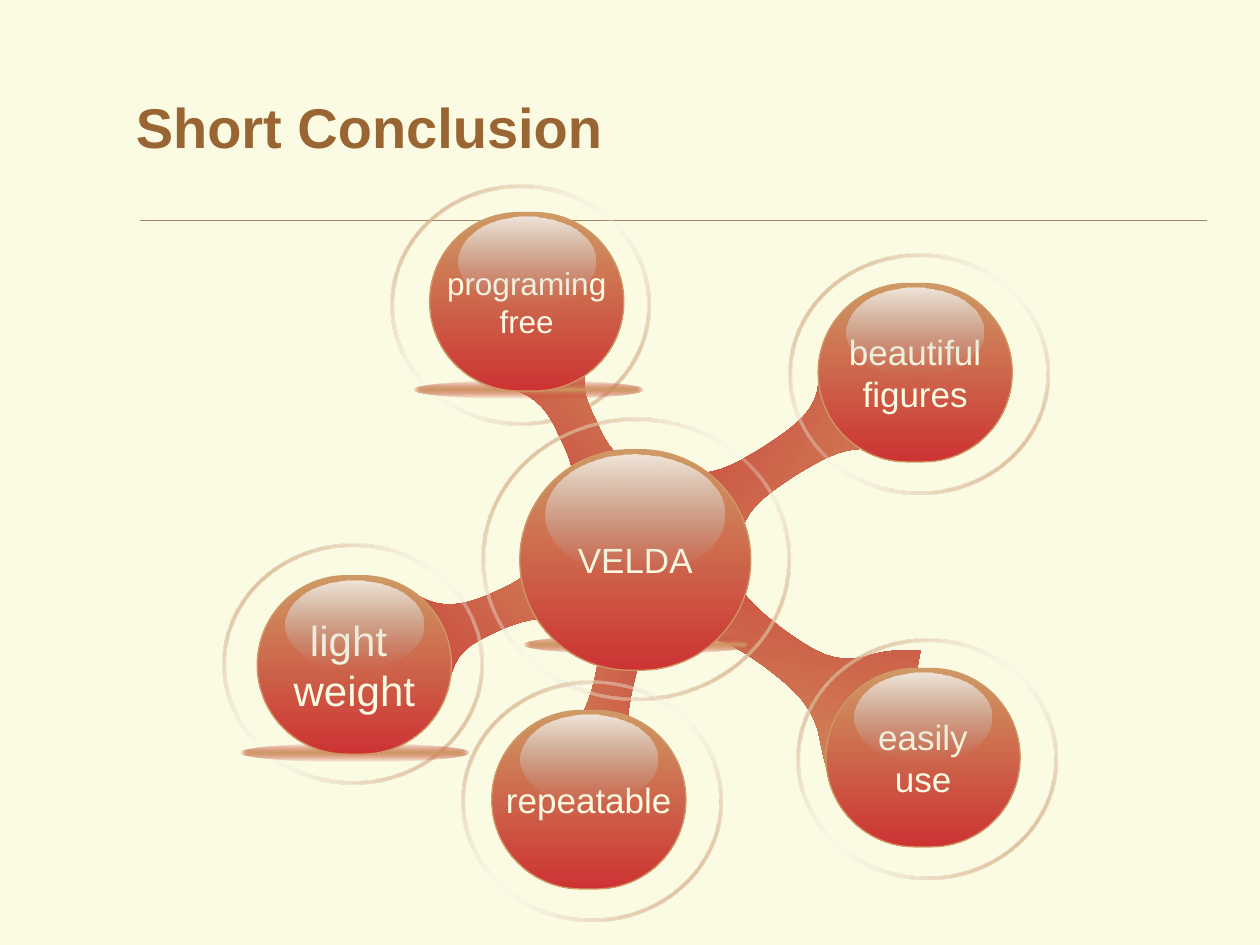
import pptx
import pptx.dml.color
import pptx.enum.shapes
import pptx.enum.text
import pptx.oxml
import pptx.oxml.ns
import pptx.util

Pt = pptx.util.Pt
RGB = pptx.dml.color.RGBColor
SHAPE = pptx.enum.shapes.MSO_SHAPE
ALIGN = pptx.enum.text.PP_ALIGN
ANCHOR = pptx.enum.text.MSO_ANCHOR

CREAM = RGB(0xFB, 0xFA, 0xE2)
BROWN = RGB(0x99, 0x66, 0x33)
RULE = RGB(0xA0, 0x83, 0x66)
TAN = RGB(0xCE, 0x99, 0x64)
RED = RGB(0xCD, 0x33, 0x33)
WHITE = RGB(0xF8, 0xF8, 0xF8)
GREY = RGB(0xB1, 0xB1, 0xB1)

LIMB_STOPS = [(0, RED, 100), (100, TAN, 100)]
RING_STOPS = [(0, TAN, 100), (50, WHITE, 24), (100, TAN, 100)]
BALL_STOPS = [(0, TAN, 100), (100, RED, 100)]
GLOSS_STOPS = [(0, WHITE, 80), (100, GREY, 0)]
SHADOW_STOPS = [(0, TAN, 100), (100, RED, 0)]

BALL_SIZE, CORE_SIZE = (111, 102), (132, 126)
RING_SIZE, CORE_RING_SIZE = (149, 137.5), (176.5, 162)
GLOSS_SIZE, CORE_GLOSS_SIZE = (78.5, 50.5), (102, 68.5)
SHADOW_SIZE = (131, 10)
RING_WIDTH = 2.1

LOWER_LIMBS = [
    ((351, 389), 171, [(320, 314), (325, 330), (336, 342), (346, 356), (344, 369), (340, 387),
                       (336, 405), (330, 418), (314, 425), (298, 433), (285, 444), (330, 467)]),
    ((442.5, 370.5), 100, [(359, 369), (376, 371), (390, 366), (408, 361), (420, 369), (437, 381),
                           (454, 394), (466, 404), (469, 425), (472, 444), (482, 462), (516, 426)]),
    ((445.5, 263.5), 31, [(414, 341), (422, 325), (423, 310), (424, 292), (436, 284), (454, 272),
                          (472, 261), (485, 253), (505, 258), (524, 261), (545, 260), (523, 215)]),
]
UPPER_LIMBS = [
    ((283.5, 349.5), 315, [(320, 289), (312, 300), (309, 314), (305, 329), (294, 333), (279, 340),
                           (264, 346), (253, 348), (240, 341), (225, 334), (211, 331), (218, 375)]),
    ((330.5, 245.5), 315, [(397, 280), (383, 272), (369, 269), (353, 264), (347, 255), (341, 241),
                           (334, 227), (330, 217), (339, 204), (347, 192), (351, 178), (303, 184)]),
]
OUTER_BALLS = [
    ((281, 406), ["repeatable"]),
    ((467.5, 162), ["beautiful", "figures"]),
    ((472, 382), ["easily", "use"]),
]


def bezier(a, b, c, d, steps=8):
    for i in range(1, steps + 1):
        t = i / steps
        u = 1 - t
        yield tuple(u**3 * p + 3 * u * u * t * q + 3 * u * t * t * r + t**3 * s
                    for p, q, r, s in zip(a, b, c, d))


class Deck:
    font = {"name": "Arial", "bold": False}
    frame = {"word_wrap": False, "vertical_anchor": ANCHOR.MIDDLE}

    def __init__(self, prs):
        self.slide = prs.slides.add_slide(prs.slide_layouts[6])
        self.shapes = self.slide.shapes
        fill = self.slide.background.fill
        fill.solid()
        fill.fore_color.rgb = CREAM

    def group(self):
        self.shapes = self.slide.shapes.add_group_shape().shapes

    def gradient(self, sp, stops, angle):
        sp.shadow.inherit = False
        sp.line.fill.background()
        sp.fill.background()
        gs = "".join(
            f'<a:gs pos="{pos * 1000}"><a:srgbClr val="{color}"><a:alpha val="{alpha * 1000}"/>'
            "</a:srgbClr></a:gs>" for pos, color, alpha in stops)
        if angle is None:
            kind = ('<a:path path="shape"><a:fillToRect l="50000" t="50000" r="50000" b="50000"/>'
                    "</a:path>")
        else:
            kind = f'<a:lin ang="{angle * 60000}" scaled="0"/>'
        grad = pptx.oxml.parse_xml(
            f'<a:gradFill {pptx.oxml.ns.nsdecls("a")} rotWithShape="1">'
            f"<a:gsLst>{gs}</a:gsLst>{kind}</a:gradFill>")
        spPr = sp._element.spPr
        spPr.replace(spPr.find(pptx.oxml.ns.qn("a:noFill")), grad)

    def preset(self, kind, pos, size, stops, angle, adj=None):
        sp = self.shapes.add_shape(kind, *map(Pt, pos + size))
        if adj is not None:
            sp.adjustments[0] = adj
        self.gradient(sp, stops, angle)
        return sp

    def text(self, sp, lines, align, color, **font):
        tf = sp.text_frame
        for name, value in self.frame.items():
            setattr(tf, name, value)
        for i, line in enumerate(lines):
            p = tf.add_paragraph() if i else tf.paragraphs[0]
            p.alignment = align
            r = p.add_run()
            r.text = line
            for name, value in {**self.font, **font}.items():
                setattr(r.font, name, value)
            r.font.color.rgb = color

    def title(self, text):
        sp = self.shapes.add_textbox(Pt(70.5), Pt(32), Pt(613.5), Pt(80))
        self.text(sp, [text], ALIGN.LEFT, BROWN, size=Pt(32), bold=True)
        sp.text_frame.word_wrap = True

    def rule(self, x1, x2, y):
        line = self.shapes.add_connector(
            pptx.enum.shapes.MSO_CONNECTOR.STRAIGHT, Pt(x1), Pt(y), Pt(x2), Pt(y))
        line.line.color.rgb = RULE
        line.line.width = Pt(0.25)
        line._element.spPr.append(
            pptx.oxml.parse_xml(f'<a:effectLst {pptx.oxml.ns.nsdecls("a")}/>'))

    def limb(self, center, angle, side):
        *curve, corner = side
        knots = [curve[0]] + curve + [curve[-1]]
        half = [curve[0]]
        for i in range(0, len(knots) - 1, 3):
            half.extend(bezier(*knots[i:i + 4]))
        half.append(corner)
        cx, cy = center
        outline = half + [(2 * cx - x, 2 * cy - y) for x, y in half]
        points = [(Pt(x), Pt(y)) for x, y in outline]
        fb = self.shapes.build_freeform(*points[0])
        fb.add_line_segments(points[1:], close=True)
        self.gradient(fb.convert_to_shape(), LIMB_STOPS, angle)

    def ring(self, pos, size=RING_SIZE):
        self.preset(SHAPE.DONUT, pos, size, RING_STOPS, 45, RING_WIDTH / min(size))

    def shadow(self, pos):
        self.preset(SHAPE.OVAL, pos, SHADOW_SIZE, SHADOW_STOPS, None)

    def ball(self, pos, lines, pt=20, size=BALL_SIZE, gloss=GLOSS_SIZE):
        sp = self.preset(SHAPE.ROUNDED_RECTANGLE, pos, size, BALL_STOPS, 90, 0.5)
        sp.line.color.rgb = TAN
        sp.line.width = Pt(0.75)
        self.text(sp, lines, ALIGN.CENTER, CREAM, size=Pt(pt))
        x, y = pos
        self.preset(SHAPE.OVAL, (x + (size[0] - gloss[0]) / 2, y + 2.5), gloss, GLOSS_STOPS, 90)


def main():
    prs = pptx.Presentation()
    prs.slide_width, prs.slide_height = Pt(720), Pt(540)
    deck = Deck(prs)
    deck.rule(80, 690, 126)
    for limb in LOWER_LIMBS:
        deck.limb(*limb)
    deck.title("Short Conclusion")

    deck.group()
    deck.ring((223, 105.5))
    for limb in UPPER_LIMBS:
        deck.limb(*limb)
    deck.ring((275, 238.5), CORE_RING_SIZE)
    deck.ring((127.5, 310.5))
    deck.shadow((236.5, 217.5))
    deck.ball((245.5, 121.5), ["programing", "free"], 18)
    deck.shadow((299, 363.5))
    deck.ball((297, 257), ["VELDA"], 20, CORE_SIZE, CORE_GLOSS_SIZE)
    deck.shadow((137.5, 425))
    deck.ball((147, 329), ["light ", "weight"], 24)

    for (x, y), lines in OUTER_BALLS:
        deck.group()
        deck.ring((x - 17, y - 17))
        deck.ball((x, y), lines)
    prs.save("out.pptx")


if __name__ == "__main__":
    main()
